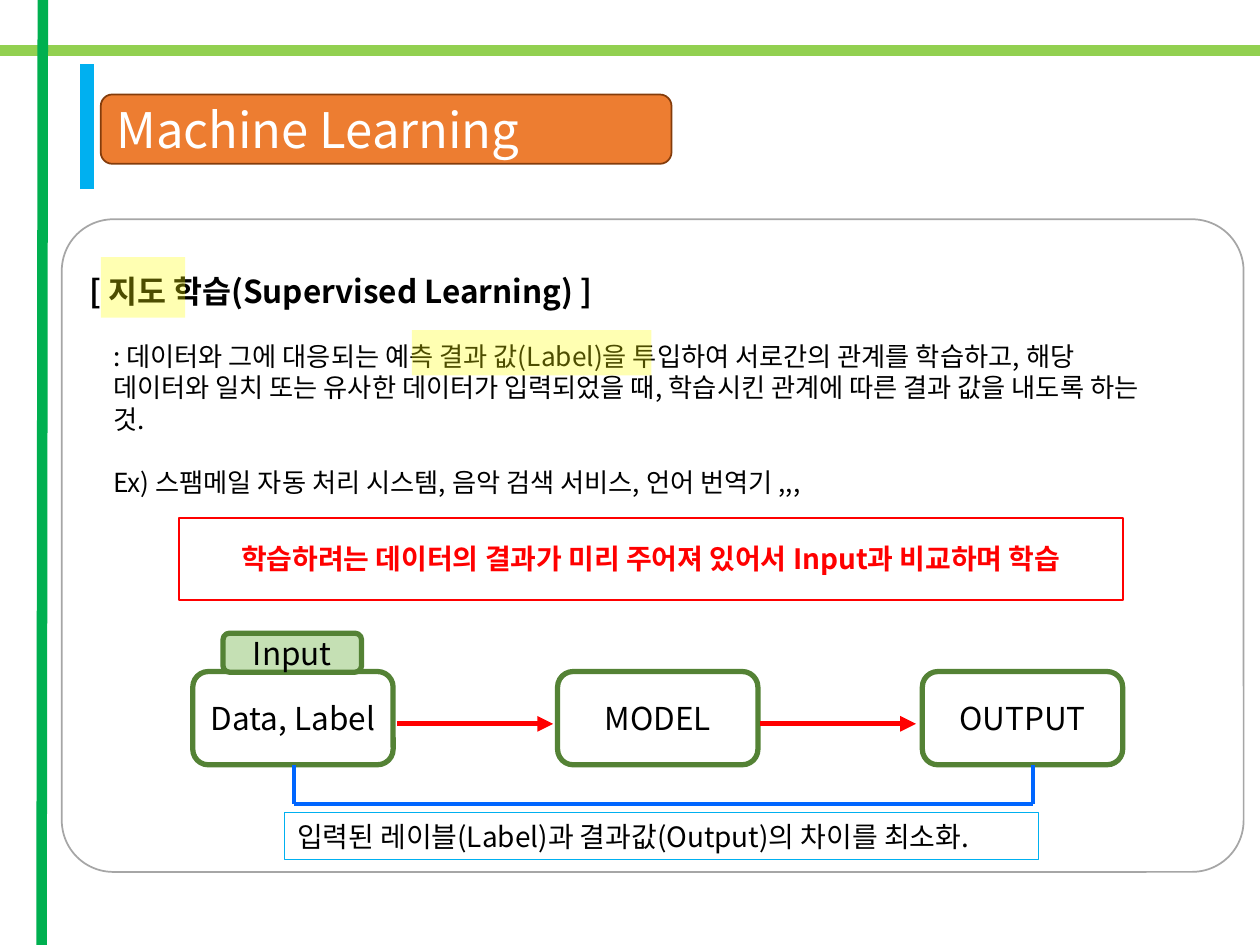
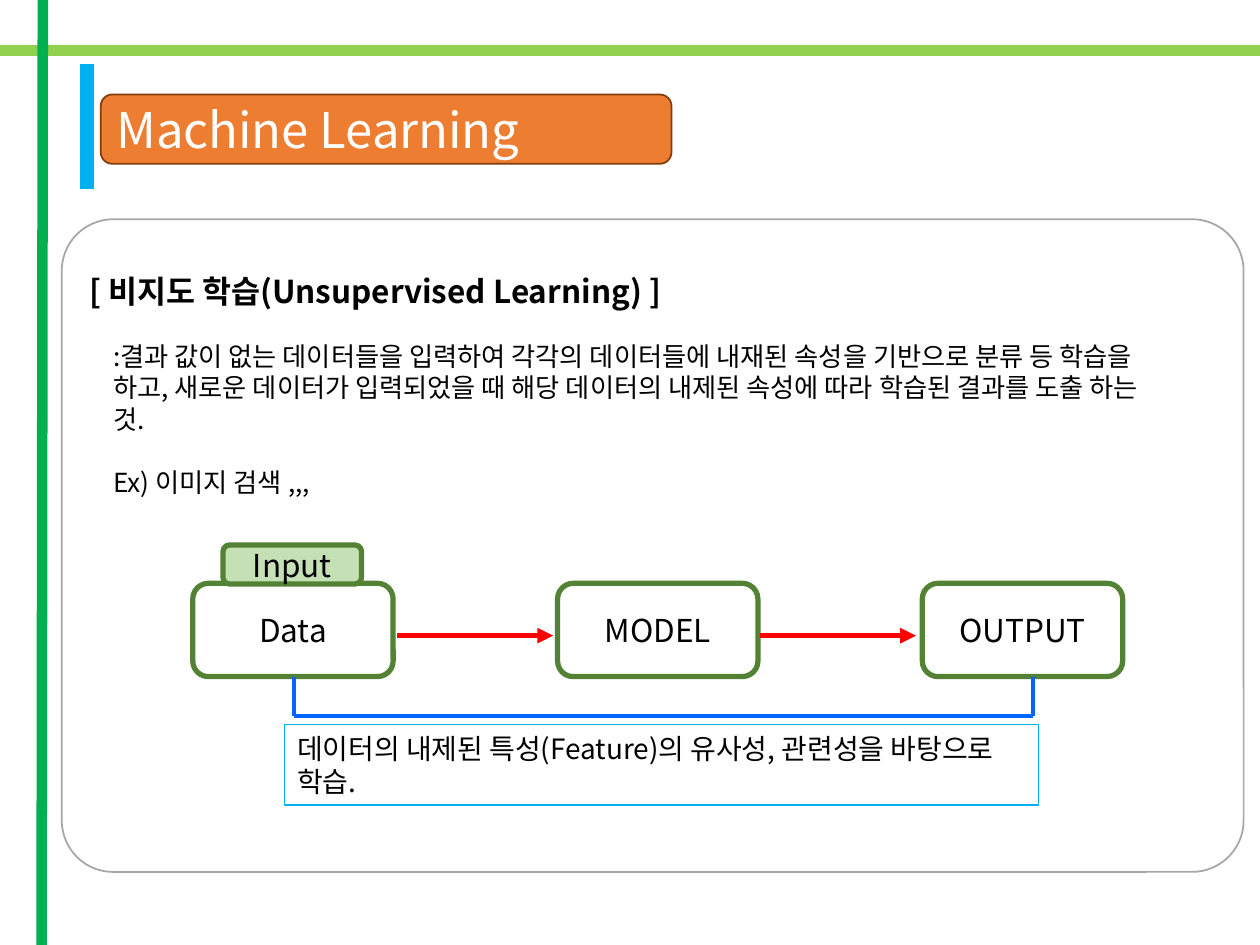
from lxml import etree
from pptx import Presentation
from pptx.dml.color import RGBColor
from pptx.enum.shapes import MSO_CONNECTOR, MSO_SHAPE
from pptx.enum.text import MSO_ANCHOR, PP_ALIGN
from pptx.oxml.ns import qn
from pptx.util import Inches, Pt

# Grid: 100 columns by 75 rows, one cell is a tenth of an inch
COLUMNS, ROWS = 100, 75

# Palette
BLACK, WHITE, GREY = "000000", "FFFFFF", "A6A6A6"
LIME, GREEN, SKY, BLUE = "92D050", "00B050", "00B0F0", "0066FF"
ORANGE, BROWN, RED, YELLOW = "ED7D31", "843C0B", "FF0000", "FFFF00"
LEAF, PALE_LEAF = "548235", "C5E0B4"


def color(hex_value):
    return RGBColor.from_string(hex_value)


class Deck:
    FONT = "Noto Sans CJK KR"

    def __init__(self):
        self.prs = Presentation()
        self.prs.slide_width, self.prs.slide_height = Inches(10), Inches(7.5)
        self.slide = None

    def x(self, columns):
        return round(self.prs.slide_width * columns / COLUMNS)

    def y(self, rows):
        return round(self.prs.slide_height * rows / ROWS)

    def place(self, box):
        left, top, width, height = box
        return self.x(left), self.y(top), self.x(width), self.y(height)

    def new_slide(self, title):
        """Start a slide with the shared bands, frame and title."""
        self.slide = self.prs.slides.add_slide(self.prs.slide_layouts[6])
        self.line((0, 4), (COLUMNS, 4), LIME, 6)
        self.line((3.4, 0), (3.3, ROWS), GREEN, 6)
        self.line((6.9, 15), (6.9, 5.1), SKY, 8)
        self.shape((4.9, 17.4, 93.8, 51.8), line=GREY, rounding=0.079)
        self.shape((8, 7.5, 45.3, 5.5), title, 28, WHITE, ORANGE, BROWN,
                   align=PP_ALIGN.LEFT)

    def add_words(self, frame, paragraphs, size, ink=BLACK, bold=False,
                  align=PP_ALIGN.LEFT, gap=0):
        frame.word_wrap = True
        for index, words in enumerate(paragraphs):
            paragraph = frame.paragraphs[0] if index == 0 else frame.add_paragraph()
            paragraph.alignment = align
            if index:
                paragraph.space_before = Pt(gap)
            run = paragraph.add_run()
            run.text = words
            font = run.font
            font.name, font.size, font.bold = self.FONT, Pt(size), bold
            font.color.rgb = color(ink)
            east_asian = etree.SubElement(font._element, qn("a:ea"))
            east_asian.set("typeface", self.FONT)

    def text(self, box, paragraphs, size, **style):
        label = self.slide.shapes.add_textbox(*self.place(box))
        self.add_words(label.text_frame, paragraphs, size, **style)

    def shape(self, box, words=None, size=18, ink=BLACK, fill=None, line=None,
              weight=1, kind=MSO_SHAPE.ROUNDED_RECTANGLE, rounding=None,
              alpha=None, bold=False, align=PP_ALIGN.CENTER):
        item = self.slide.shapes.add_shape(kind, *self.place(box))
        item.shadow.inherit = False
        if rounding is not None:
            item.adjustments[0] = rounding
        if fill:
            item.fill.solid()
            item.fill.fore_color.rgb = color(fill)
        else:
            item.fill.background()
        if alpha:
            tint = item._element.spPr.find(qn("a:solidFill"))[0]
            etree.SubElement(tint, qn("a:alpha")).set("val", str(alpha * 1000))
        if line:
            item.line.color.rgb = color(line)
            item.line.width = Pt(weight)
        else:
            item.line.fill.background()
        if words:
            item.text_frame.vertical_anchor = MSO_ANCHOR.MIDDLE
            self.add_words(item.text_frame, [words], size, ink, bold, align)

    def line(self, start, end, ink, weight, arrow=False):
        link = self.slide.shapes.add_connector(
            MSO_CONNECTOR.STRAIGHT, self.x(start[0]), self.y(start[1]),
            self.x(end[0]), self.y(end[1]))
        link.line.color.rgb = color(ink)
        link.line.width = Pt(weight)
        properties = link._element.spPr
        if arrow:
            head = etree.SubElement(properties.find(qn("a:ln")), qn("a:tailEnd"))
            head.set("type", "triangle")
        etree.SubElement(properties, qn("a:effectLst"))

    def highlight(self, box):
        self.shape(box, fill=YELLOW, alpha=30, kind=MSO_SHAPE.FLOWCHART_PROCESS)

    def explanation(self, heading, definition, examples):
        self.text((6.1, 21.1, 63.4, 4), [heading], 18, bold=True)
        self.text((8, 26.5, 85.6, 13.6), [definition, examples], 15, gap=18)

    def flow(self, top, data, goal, goal_height):
        """Input, model and output, with a bracket down to the goal."""
        first, step, width, height = 15.3, 28.95, 15.9, 7.4
        for index, stage in enumerate((data, "MODEL", "OUTPUT")):
            self.shape((first + index * step, top, width, height), stage,
                       line=LEAF, weight=3)
        self.shape((17.7, top - 3.05, 11, 3.1), "Input", fill=PALE_LEAF,
                   line=LEAF, weight=3)
        for start in (31.5, 60.3):
            self.line((start, top + 4.15), (start + 12.4, top + 4.15), RED, 3,
                      arrow=True)
        left, right, upper, lower = 23.3, 82, top + height, top + 10.5
        for side in (left, right):
            self.line((side, upper), (side, lower), BLUE, 2.25)
        self.line((left, lower), (right, lower), BLUE, 2.25)
        self.shape((22.6, top + 11.2, 59.8, goal_height), goal, 16, line=SKY,
                   weight=0.75, kind=MSO_SHAPE.RECTANGLE, align=PP_ALIGN.LEFT)


def main():
    deck = Deck()

    # Supervised learning
    deck.new_slide("Machine Learning")
    deck.explanation(
        "[ 지도 학습(Supervised Learning) ]",
        ": 데이터와 그에 대응되는 예측 결과 값(Label)을 투입하여 서로간의 관계를 "
        "학습하고, 해당 데이터와 일치 또는 유사한 데이터가 입력되었을 때, "
        "학습시킨 관계에 따른 결과 값을 내도록 하는 것.",
        "Ex) 스팸메일 자동 처리 시스템, 음악 검색 서비스, 언어 번역기 ,,,")
    deck.highlight((8, 20.4, 6.7, 4.8))
    deck.highlight((32.7, 26.2, 19, 3.6))
    deck.shape((14.2, 41.1, 74.9, 6.5),
               "학습하려는 데이터의 결과가 미리 주어져 있어서 Input과 비교하며 학습",
               16, RED, line=RED, kind=MSO_SHAPE.RECTANGLE, bold=True)
    deck.flow(53.3, "Data, Label",
              "입력된 레이블(Label)과 결과값(Output)의 차이를 최소화.", 3.7)

    # Unsupervised learning
    deck.new_slide("Machine Learning")
    deck.explanation(
        "[ 비지도 학습(Unsupervised Learning) ]",
        ":결과 값이 없는 데이터들을 입력하여 각각의 데이터들에 내재된 속성을 "
        "기반으로 분류 등 학습을 하고, 새로운 데이터가 입력되었을 때 해당 데이터의 "
        "내제된 속성에 따라 학습된 결과를 도출 하는 것.",
        "Ex) 이미지 검색 ,,,")
    deck.flow(46.3, "Data",
              "데이터의 내제된 특성(Feature)의 유사성, 관련성을 바탕으로 학습.", 6.4)

    deck.prs.save("out.pptx")


if __name__ == "__main__":
    main()
